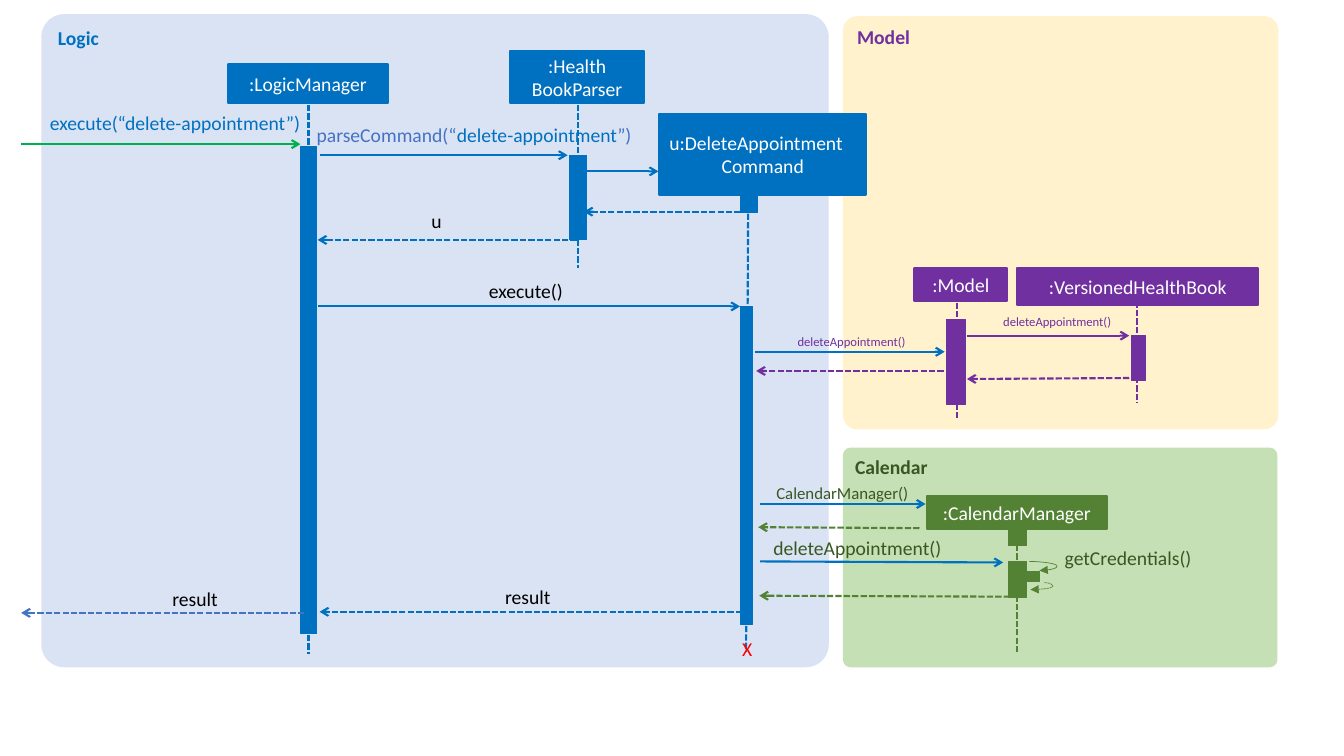
from lxml import etree
from pptx import Presentation
from pptx.dml.color import RGBColor
from pptx.enum.dml import MSO_LINE
from pptx.enum.shapes import MSO_CONNECTOR, MSO_SHAPE
from pptx.enum.text import MSO_ANCHOR, PP_ALIGN
from pptx.oxml.ns import qn
from pptx.util import Inches, Pt

RECT, ROUNDED = MSO_SHAPE.RECTANGLE, MSO_SHAPE.ROUNDED_RECTANGLE
STRAIGHT, CURVE = MSO_CONNECTOR.STRAIGHT, MSO_CONNECTOR.CURVE
LEFT, CENTER, RIGHT = PP_ALIGN.LEFT, PP_ALIGN.CENTER, PP_ALIGN.RIGHT
TOP, MIDDLE = MSO_ANCHOR.TOP, MSO_ANCHOR.MIDDLE
DASH = MSO_LINE.SQUARE_DOT

FONT = "Calibri"
COLORS = {
    "white": "FFFFFF", "black": "000000", "red": "FF0000",
    "logic": "0070C0", "logic_panel": "DAE3F3", "call": "4472C4", "entry": "00B050",
    "model": "7030A0", "model_panel": "FFF2CC",
    "calendar": "548235", "calendar_panel": "C5E0B4", "calendar_text": "385723",
}


def rgb(name):
    return RGBColor.from_string(COLORS[name])


def write(paragraph, runs, size=14, align=LEFT, bold=False):
    """Fill a paragraph from (text, colour) pairs."""
    paragraph.alignment = align
    for text, color in runs:
        run = paragraph.add_run()
        run.text = text
        run.font.name, run.font.size, run.font.bold = FONT, Pt(size), bold
        run.font.color.rgb = rgb(color)


class Region:
    """A panel of the diagram; its parts are placed from its top left corner."""

    def __init__(self, slide, box, title, theme, title_color):
        self.shapes, self.theme = slide.shapes, theme
        self.left, self.top, width, height = box
        panel = self.block(ROUNDED, (0, 0, width, height), theme + "_panel")
        panel.adjustments[0] = 0.035
        panel.text_frame.vertical_anchor = TOP
        write(panel.text_frame.paragraphs[0], [(title, title_color)], bold=True)

    def point(self, x, y):
        return Inches(self.left + x), Inches(self.top + y)

    def block(self, kind, box, fill, outline=None):
        x, y, width, height = box
        shape = self.shapes.add_shape(kind, *self.point(x, y), Inches(width), Inches(height))
        shape.shadow.inherit = False
        shape.fill.solid()
        shape.fill.fore_color.rgb = rgb(fill)
        if outline:
            shape.line.color.rgb = rgb(fill)
            shape.line.width = Pt(outline)
        else:
            shape.line.fill.background()
        return shape

    def participant(self, box, *lines):
        frame = self.block(RECT, box, self.theme, 1.5).text_frame
        frame.word_wrap = True
        frame.vertical_anchor = MIDDLE
        for i, line in enumerate(lines):
            paragraph = frame.add_paragraph() if i else frame.paragraphs[0]
            write(paragraph, [(line, "white")], align=CENTER)

    def activation(self, *box):
        self.block(RECT, box, self.theme, 0.5)

    def connect(self, start, end, color=None, dashed=False, head="arrow",
                weight=1.5, bend=None):
        kind = STRAIGHT if bend is None else CURVE
        line = self.shapes.add_connector(kind, *self.point(*start), *self.point(*end))
        line.line.color.rgb = rgb(color or self.theme)
        line.line.width = Pt(weight)
        if dashed:
            line.line.dash_style = DASH
        properties = line._element.spPr
        if head:
            etree.SubElement(line.line._get_or_add_ln(), qn("a:tailEnd"), type=head)
        if bend is not None:
            guides = properties.find(qn("a:prstGeom")).get_or_add_avLst()
            etree.SubElement(guides, qn("a:gd"), name="adj1", fmla=f"val {round(bend * 100000)}")
        etree.SubElement(properties, qn("a:effectLst"))

    def lifeline(self, x, top, bottom, end_x=None):
        self.connect((x, top), (end_x or x, bottom), dashed=True, head=None)

    def message(self, x1, x2, y, color=None, end_y=None):
        self.connect((x1, y), (x2, end_y or y), color)

    def reply(self, x1, x2, y, color=None, end_y=None):
        self.connect((x1, y), (x2, end_y or y), color, dashed=True)

    def label(self, x, y, width, *runs, size=14, align=LEFT):
        box = self.shapes.add_textbox(*self.point(x, y), Inches(width), Pt(size * 1.22))
        frame = box.text_frame
        frame.word_wrap = True
        frame.margin_left = frame.margin_right = frame.margin_top = frame.margin_bottom = 0
        write(frame.paragraphs[0], runs, size, align)


def draw_logic(logic):
    # Lifelines and activations
    logic.participant((1.85, 0.5, 1.59, 0.38), ":LogicManager")
    logic.lifeline(2.65, 0.9, 6.35)
    logic.activation(2.57, 1.31, 0.16, 4.83)
    logic.participant((4.65, 0.37, 1.33, 0.51), ":Health", "BookParser")
    logic.lifeline(5.32, 0.9, 2.52)
    logic.activation(5.24, 1.4, 0.17, 0.84)
    logic.lifeline(7.01, 1.98, 6.33, end_x=6.99)
    logic.activation(6.93, 1.67, 0.17, 0.3)
    logic.activation(6.93, 2.9, 0.12, 3.15)
    logic.participant((6.13, 0.99, 2.05, 0.8), "u:DeleteAppointment\vCommand".replace("\v", "\n"))
    # Calls
    logic.message(-0.2, 2.57, 1.29, "entry")
    logic.message(2.76, 5.22, 1.4)
    logic.message(5.41, 6.12, 1.56)
    logic.message(2.74, 6.93, 2.9)
    # Returns
    logic.reply(7.02, 5.38, 1.96)
    logic.reply(5.31, 2.74, 2.24)
    logic.reply(6.95, 2.76, 5.93)
    logic.reply(2.61, -0.2, 5.94, "call")
    # Captions
    logic.label(0, 0.96, 2.57, ("execute(“delete-appointment”)", "logic"), align=RIGHT)
    logic.label(2.73, 1.08, 3.39, ("parseCommand(“", "call"),
                ("delete-appointment", "logic"), ("”)", "call"))
    logic.label(3.87, 1.93, 0.24, ("u", "black"))
    logic.label(4.44, 2.63, 0.94, ("execute()", "black"))
    logic.label(4.6, 5.66, 0.68, ("result", "black"))
    logic.label(1.3, 5.68, 0.83, ("result", "black"))
    logic.label(6.95, 6.18, 0.2, ("X", "red"))


def draw_model(model):
    # Lifelines and activations
    model.participant((0.71, 2.5, 0.92, 0.33), ":Model")
    model.lifeline(1.13, 2.76, 4)
    model.activation(1.03, 3.01, 0.18, 0.84)
    model.participant((1.73, 2.5, 2.39, 0.37), ":VersionedHealthBook")
    model.lifeline(2.92, 2.83, 3.84)
    model.activation(2.86, 3.17, 0.14, 0.44)
    # Calls and returns
    model.message(-0.87, 1.01, 3.33, "logic")
    model.message(1.23, 2.84, 3.17)
    model.reply(2.84, 1.23, 3.59, end_y=3.6)
    model.reply(1, -0.86, 3.52)
    for x, y, width in ((-0.45, 3.15, 1.51), (1.59, 2.95, 1.17)):
        model.label(x, y, width, ("deleteAppointment()", "model"), size=9)


def draw_calendar(calendar):
    # Lifeline and activations
    calendar.participant((0.83, 0.48, 1.79, 0.33), ":CalendarManager")
    calendar.lifeline(1.73, 0.8, 2.05)
    calendar.activation(1.64, 0.79, 0.18, 0.18)
    calendar.activation(1.64, 1.13, 0.18, 0.36)
    calendar.activation(1.81, 1.23, 0.14, 0.1)
    # Calls and returns
    calendar.message(-0.82, 0.82, 0.56, "logic")
    calendar.reply(0.76, -0.84, 0.8, end_y=0.79)
    calendar.message(-0.82, 1.59, 1.13, "logic", end_y=1.14)
    calendar.reply(1.74, -0.83, 1.48, end_y=1.47)
    # Self call and its return
    calendar.connect((1.85, 1.13), (1.95, 1.22), head="triangle", weight=0.5, bend=2.75)
    calendar.connect((2, 1.34), (1.86, 1.41), dashed=True, head="triangle",
                     weight=0.5, bend=-0.6)
    # Captions
    calendar.label(-0.66, 0.35, 1.63, ("CalendarManager()", "calendar_text"), size=12)
    calendar.label(-0.69, 0.88, 1.74, ("deleteAppointment()", "calendar_text"))
    calendar.label(2.2, 0.98, 1.33, ("getCredentials()", "calendar_text"))


def main():
    deck = Presentation()
    deck.slide_width, deck.slide_height = Inches(13.33), Inches(7.5)
    slide = deck.slides.add_slide(deck.slide_layouts[6])
    # Panels lie behind every message that crosses them
    model = Region(slide, (8.36, 0.16, 4.32, 4.1), "Model", "model", "model")
    logic = Region(slide, (0.41, 0.14, 7.81, 6.48), "Logic", "logic", "logic")
    calendar = Region(slide, (8.36, 4.44, 4.31, 2.18), "Calendar", "calendar", "calendar_text")
    draw_logic(logic)
    draw_model(model)
    draw_calendar(calendar)
    deck.save("out.pptx")


if __name__ == "__main__":
    main()
